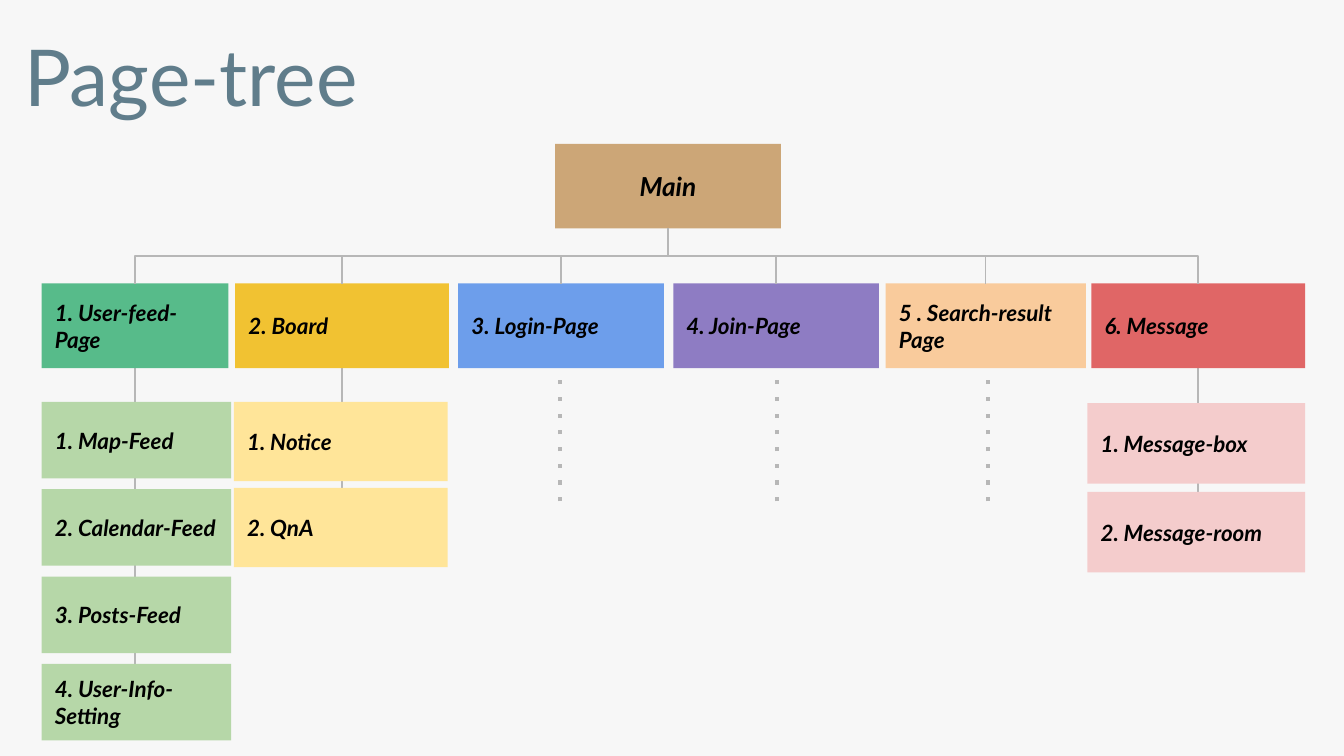
from lxml import etree
from pptx import Presentation
from pptx.dml.color import RGBColor
from pptx.enum.shapes import MSO_CONNECTOR, MSO_SHAPE
from pptx.enum.text import MSO_ANCHOR, PP_ALIGN
from pptx.oxml.ns import qn
from pptx.util import Inches, Pt

STRAIGHT = MSO_CONNECTOR.STRAIGHT
ELBOW = MSO_CONNECTOR.ELBOW
RECT = MSO_SHAPE.RECTANGLE
MIDDLE = MSO_ANCHOR.MIDDLE
LEFT = PP_ALIGN.LEFT
CENTER = PP_ALIGN.CENTER

FONT = "Lato"
GRAY = "B7B7B7"
TOP, BOTTOM = 0, 2
HEAD_Y, HEAD_H = 2.11, 0.63
RAIL_Y = 1.91

HEADS = [
    ("1. User-feed-Page", 0.31, 1.39, "57BB8A"),
    ("2. Board", 1.75, 1.59, "F1C232"),
    ("3. Login-Page", 3.41, 1.53, "6D9EEB"),
    ("4. Join-Page", 5.01, 1.53, "8E7CC3"),
    ("5 . Search-result Page", 6.59, 1.49, "F9CB9C"),
    ("6. Message", 8.12, 1.59, "E06666"),
]
LISTS = [
    (["1. Map-Feed", "2. Calendar-Feed", "3. Posts-Feed", "4. User-Info-Setting"],
     0.31, 2.99, 1.41, 0.57, 0.65, "B6D7A8"),
    (["1. Notice", "2. QnA"], 1.74, 2.99, 1.59, 0.59, 0.64, "FFE599"),
    (["1. Message-box", "2. Message-room"], 8.09, 3, 1.62, 0.6, 0.66, "F4CCCC"),
]
STEMS = [(1, 4.06), (5, 3.92), (0, 5.04)]
DOTS = [4.17, 5.78, 7.35]


def rgb(code):
    return RGBColor.from_string(code)


def write(shape, text, size, color, bold, align, pad_x, pad_y):
    frame = shape.text_frame
    frame.word_wrap = True
    frame.vertical_anchor = MIDDLE
    frame.margin_left = frame.margin_right = Inches(pad_x)
    frame.margin_top = frame.margin_bottom = Inches(pad_y)
    frame.text = text
    par = frame.paragraphs[0]
    par.alignment = align
    font = par.runs[0].font
    font.name = FONT
    font.size = Pt(size)
    font.bold = font.italic = bold
    font.color.rgb = rgb(color)
    return par


def add_title(slide, text):
    box = slide.shapes.add_textbox(
        Inches(0.11), Inches(0.06), Inches(8.62), Inches(1.09))
    par = write(box, text, 42, "607D8B", False, LEFT, 0.07, 0.04)
    par.line_spacing = 0.9


def add_box(slide, text, x, y, w, h, fill, size=12, align=LEFT):
    box = slide.shapes.add_shape(RECT, Inches(x), Inches(y), Inches(w), Inches(h))
    box.shadow.inherit = False
    box.fill.solid()
    box.fill.fore_color.rgb = rgb(fill)
    box.line.fill.background()
    write(box, text, size, "000000", True, align, 0.1, 0.1)
    return box


def add_line(slide, x, start, end, kind=STRAIGHT, width=0.75):
    link = slide.shapes.add_connector(
        kind, Inches(x), Inches(start), Inches(x), Inches(end))
    link.line.color.rgb = rgb(GRAY)
    link.line.width = Pt(width)
    etree.SubElement(link._element.spPr, qn("a:effectLst"))
    return link


def add_dots(slide, x):
    link = add_line(slide, x, 3.73, 2.83, width=2.25)
    dash = etree.SubElement(link._element.spPr.find(qn("a:ln")), qn("a:prstDash"))
    dash.set("val", "dot")


def add_bend(slide, root, head):
    link = add_line(slide, 0, 0, 0, ELBOW)
    link.begin_connect(root, BOTTOM)
    link.end_connect(head, TOP)
    run = link.end_x - link.begin_x
    drop = link.end_y - link.begin_y
    mid_x = (link.begin_x + link.end_x) // 2
    mid_y = (link.begin_y + link.end_y) // 2
    link.left, link.top = mid_x - drop // 2, mid_y - abs(run) // 2
    link.width, link.height = drop, abs(run)
    frame = link._element.spPr.find(qn("a:xfrm"))
    frame.set("rot", str((90 if run < 0 else 270) * 60000))
    frame.set("flipH", "0" if run < 0 else "1")
    frame.set("flipV", "0")


def add_list(slide, names, x, y, w, h, step, fill):
    for row, name in enumerate(names):
        add_box(slide, name, x, y + row * step, w, h, fill)


def main():
    deck = Presentation()
    deck.slide_width = Inches(10)
    deck.slide_height = Inches(10 * 9 / 16)
    slide = deck.slides.add_slide(deck.slide_layouts[6])
    slide.background.fill.solid()
    slide.background.fill.fore_color.rgb = rgb("F7F7F7")

    mids = [x + w / 2 for _, x, w, _ in HEADS]
    stems = [add_line(slide, mids[col], HEAD_Y + HEAD_H, end) for col, end in STEMS]
    add_title(slide, "Page-tree")
    root = add_box(slide, "Main", 4.13, 1.07, 1.68, 0.63, "CCA677", 14, CENTER)
    heads = [add_box(slide, name, x, HEAD_Y, w, HEAD_H, fill)
             for name, x, w, fill in HEADS]
    for stem, (col, _) in zip(stems, STEMS):
        stem.begin_connect(heads[col], BOTTOM)
    for group in LISTS:
        add_list(slide, *group)

    for head in (heads[0], heads[-1]):
        add_bend(slide, root, head)
    for head, mid in zip(heads[1:-1], mids[1:-1]):
        add_line(slide, mid, HEAD_Y, RAIL_Y).begin_connect(head, TOP)
    for x in DOTS:
        add_dots(slide, x)

    deck.save("out.pptx")


if __name__ == "__main__":
    main()
